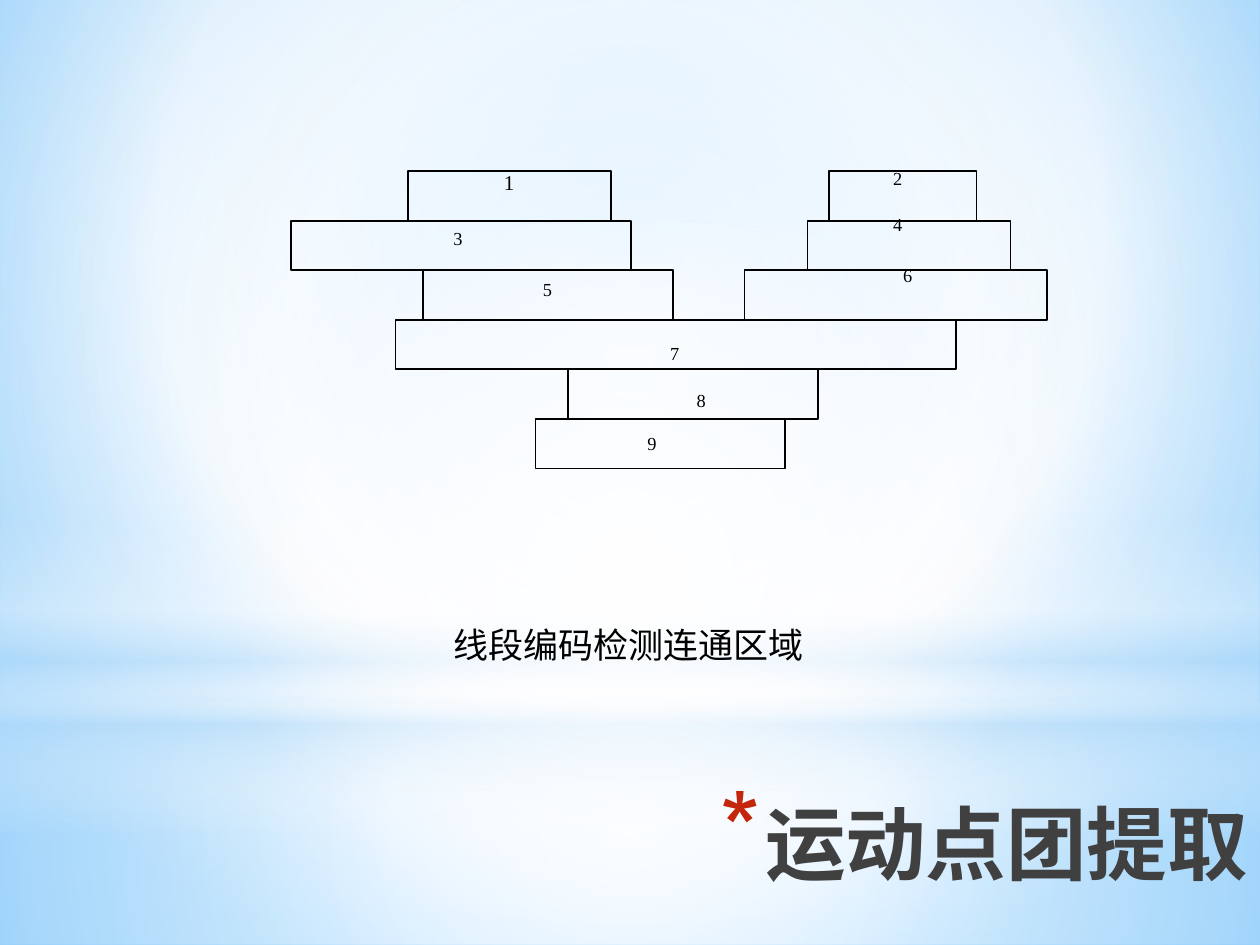
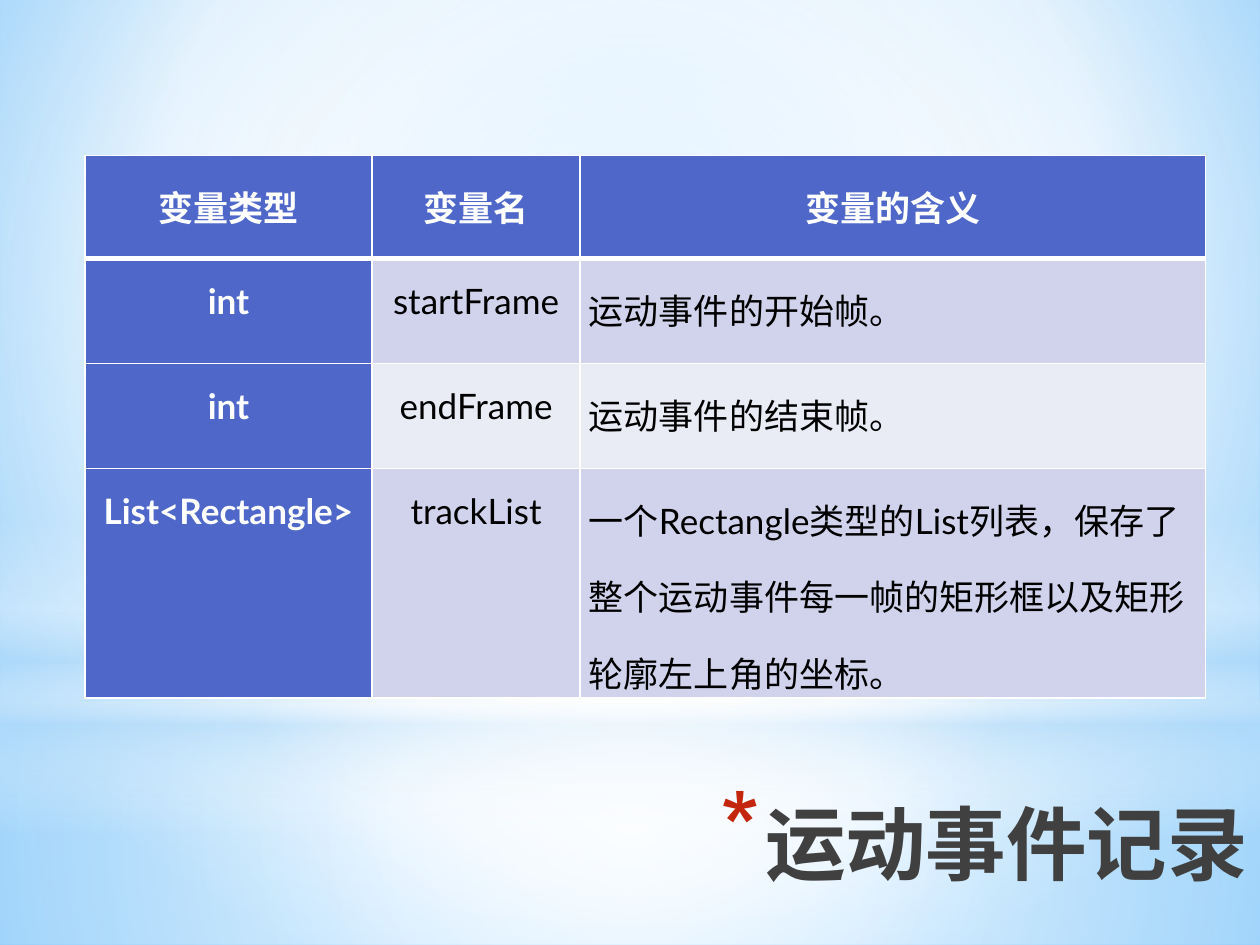
from pptx import Presentation
from pptx.util import Pt
from pptx.dml.color import RGBColor
from pptx.enum.shapes import MSO_SHAPE as Preset
from pptx.enum.text import PP_ALIGN as Align
from pptx.oxml import parse_xml
from pptx.oxml.ns import nsdecls

# Shared style
COLORS = {
    "ink": "000000", "title": "404040", "star": "C3260C", "white": "FFFFFF",
    "mist": "B4DCFA", "sky": "9ED5FF", "deep_sky": "5BB9FF",
    "header": "4E67C8", "odd_row": "D0D3EB", "even_row": "E9EBF5",
}
FONT = "Lato"
NUMBER_FONT = "Times New Roman"
WIDTH, HEIGHT = 720, 540
HORIZON = 401.71

# Gradient stops: position, colour, opacity (all percentages)
BACKGROUND = [(0, "sky", 100), (60, "white", 100), (100, "deep_sky", 100)]
CENTRE = (50, 50, 50, 50)
# Backdrop layers: preset, top, height, stops, focus (None means top to bottom)
LAYERS = [
    (Preset.RECTANGLE, HORIZON, HEIGHT - HORIZON,
     [(0, "white", 91), (37, "white", 76), (100, "mist", 79)], CENTRE),
    (Preset.RECTANGLE, 0, HORIZON,
     [(0, "white", 89), (48, "white", 62), (100, "mist", 79)], CENTRE),
    (Preset.RECTANGLE, 296.6, 180,
     [(0, "white", 0), (29, "white", 30), (45, "mist", 40),
      (55, "white", 26), (65, "mist", 60), (100, "white", 0)], None),
    (Preset.OVAL, 126, 401.8, [(0, "white", 100), (56, "white", 0)], CENTRE),
]

# Slide 1: segments as row, left, width, then left and top of the number
SEGMENT_TITLE = "运动点团提取"
SEGMENT_CAPTION = "线段编码检测连通区域"
SEGMENTS = [
    (0, 233.3, 116, 280.8, 93.6),
    (0, 473.8, 84.2, 503.3, 92.2),
    (1, 166.3, 194.4, 252, 126),
    (1, 461.5, 116, 503.3, 118),
    (2, 241.9, 142.6, 303.1, 155.5),
    (2, 425.5, 172.8, 509, 147.6),
    (3, 226, 320.4, 375.8, 192.2),
    (4, 324.7, 142.6, 391, 218.9),
    (5, 306, 142.6, 362.9, 243.4),
]
SEGMENT_TOP, SEGMENT_HEIGHT = 97.9, 28.3

# Slide 2: event record table
EVENT_TITLE = "运动事件记录"
EVENT_ROWS = [
    ("变量类型", "变量名", "变量的含义"),
    ("int", "startFrame", "运动事件的开始帧。"),
    ("int", "endFrame", "运动事件的结束帧。"),
    ("List<Rectangle>", "trackList",
     "一个Rectangle类型的List列表，保存了整个运动事件每一帧的矩形框以及矩形轮廓左上角的坐标。"),
]
COLUMN_WIDTHS = (164.2, 118.8, 357.3)
ROW_HEIGHTS = (59, 60, 60, 131)


def color(name):
    return RGBColor.from_string(COLORS[name])


def set_gradient(fill, holder, stops, focus):
    """Give the element that holds a fill a gradient with opacities."""
    fill.solid()
    marks = "".join(
        f'<a:gs pos="{place * 1000}"><a:srgbClr val="{COLORS[name]}">'
        f'<a:alpha val="{opacity * 1000}"/></a:srgbClr></a:gs>'
        for place, name, opacity in stops)
    if focus:
        sides = " ".join(f'{side}="{value * 1000}"' for side, value in zip("ltrb", focus))
        course = f'<a:path path="circle"><a:fillToRect {sides}/></a:path>'
    else:
        course = '<a:lin ang="5400000" scaled="0"/>'
    gradient = parse_xml(f'<a:gradFill {nsdecls("a")} rotWithShape="1">'
                         f"<a:gsLst>{marks}</a:gsLst>{course}</a:gradFill>")
    solid = holder.find(".//{*}solidFill")
    solid.getparent().replace(solid, gradient)


def write(frame, text, size=20, font=FONT, ink="ink", bold=False,
          align=Align.LEFT, spacing=None, star=False):
    """Put one formatted paragraph into a text frame."""
    frame.word_wrap = True
    para = frame.paragraphs[0]
    para.alignment = align
    if spacing:
        para.line_spacing = spacing
    if star:
        props = para._p.get_or_add_pPr()
        props.set("marL", str(Pt(25.2)))
        props.set("indent", str(Pt(-25.2)))
        for bullet in (f'<a:buClr {nsdecls("a")}><a:srgbClr val="{COLORS["star"]}"/></a:buClr>',
                       f'<a:buSzPct {nsdecls("a")} val="128000"/>',
                       f'<a:buChar {nsdecls("a")} char="*"/>'):
            props.append(parse_xml(bullet))
    span = para.add_run()
    span.text = text
    span.font.size, span.font.name, span.font.bold = Pt(size), font, bold
    span.font.color.rgb = color(ink)


def add_text(page, text, left, top, width, height, **style):
    box = page.shapes.add_textbox(Pt(left), Pt(top), Pt(width), Pt(height))
    write(box.text_frame, text, **style)


def add_preset(page, preset, left, top, width, height):
    shape = page.shapes.add_shape(preset, Pt(left), Pt(top), Pt(width), Pt(height))
    shape.shadow.inherit = False
    return shape


def add_page(deck, title):
    """Add a page with the common backdrop and title."""
    page = deck.slides.add_slide(deck.slide_layouts[6])
    background = page.background.fill
    set_gradient(background, page._element, BACKGROUND, (20, 10, 20, 60))
    for preset, top, height, stops, focus in LAYERS:
        layer = add_preset(page, preset, 0, top, WIDTH, height)
        layer.line.fill.background()
        set_gradient(layer.fill, layer._element.spPr, stops, focus)
    add_text(page, title, 207.4, 450, 512.6, 90, size=46, ink="title",
             bold=True, align=Align.RIGHT, star=True)
    return page


def add_borders(cell, **weights):
    """Draw white cell borders; weights are keyed L, R, T and B."""
    props = cell._tc.get_or_add_tcPr()
    for side in "LRTB":
        props.append(parse_xml(
            f'<a:ln{side} {nsdecls("a")} w="{Pt(weights.get(side, 1))}"><a:solidFill>'
            f'<a:srgbClr val="{COLORS["white"]}"/></a:solidFill></a:ln{side}>'))


def build_segments(deck):
    page = add_page(deck, SEGMENT_TITLE)
    add_text(page, SEGMENT_CAPTION, 252, 352.8, 232.6, 31.7)
    for row, left, width, *_ in SEGMENTS:
        bar = add_preset(page, Preset.RECTANGLE, left,
                         SEGMENT_TOP + row * SEGMENT_HEIGHT, width, SEGMENT_HEIGHT)
        bar.fill.background()
        bar.line.color.rgb = color("ink")
        bar.line.width = Pt(1)
    for number, (*_, left, top) in enumerate(SEGMENTS, 1):
        add_text(page, str(number), left, top, 29.5, 45, font=NUMBER_FONT,
                 size=12 if number == 1 else 10.5, align=Align.JUSTIFY)


def build_events(deck):
    page = add_page(deck, EVENT_TITLE)
    table = page.shapes.add_table(
        len(EVENT_ROWS), len(COLUMN_WIDTHS), Pt(48.5), Pt(88.8),
        Pt(sum(COLUMN_WIDTHS)), Pt(sum(ROW_HEIGHTS))).table
    for column, width in zip(table.columns, COLUMN_WIDTHS):
        column.width = Pt(width)
    for r, (texts, height) in enumerate(zip(EVENT_ROWS, ROW_HEIGHTS)):
        table.rows[r].height = Pt(height)
        for c, text in enumerate(texts):
            cell = table.cell(r, c)
            heading = r == 0 or c == 0
            cell.margin_left = cell.margin_right = Pt(5)
            cell.margin_top = cell.margin_bottom = 0
            add_borders(cell, T=3 if r == 1 else 1, B=3 if r == 0 else 1)
            cell.fill.solid()
            cell.fill.fore_color.rgb = color(
                "header" if heading else "odd_row" if r % 2 else "even_row")
            write(cell.text_frame, text, ink="white" if heading else "ink", bold=heading,
                  align=Align.CENTER if r == 0 or c < 2 else Align.LEFT, spacing=1.5)


def main():
    deck = Presentation()
    deck.slide_width, deck.slide_height = Pt(WIDTH), Pt(HEIGHT)
    build_segments(deck)
    build_events(deck)
    deck.save("out.pptx")


if __name__ == "__main__":
    main()
